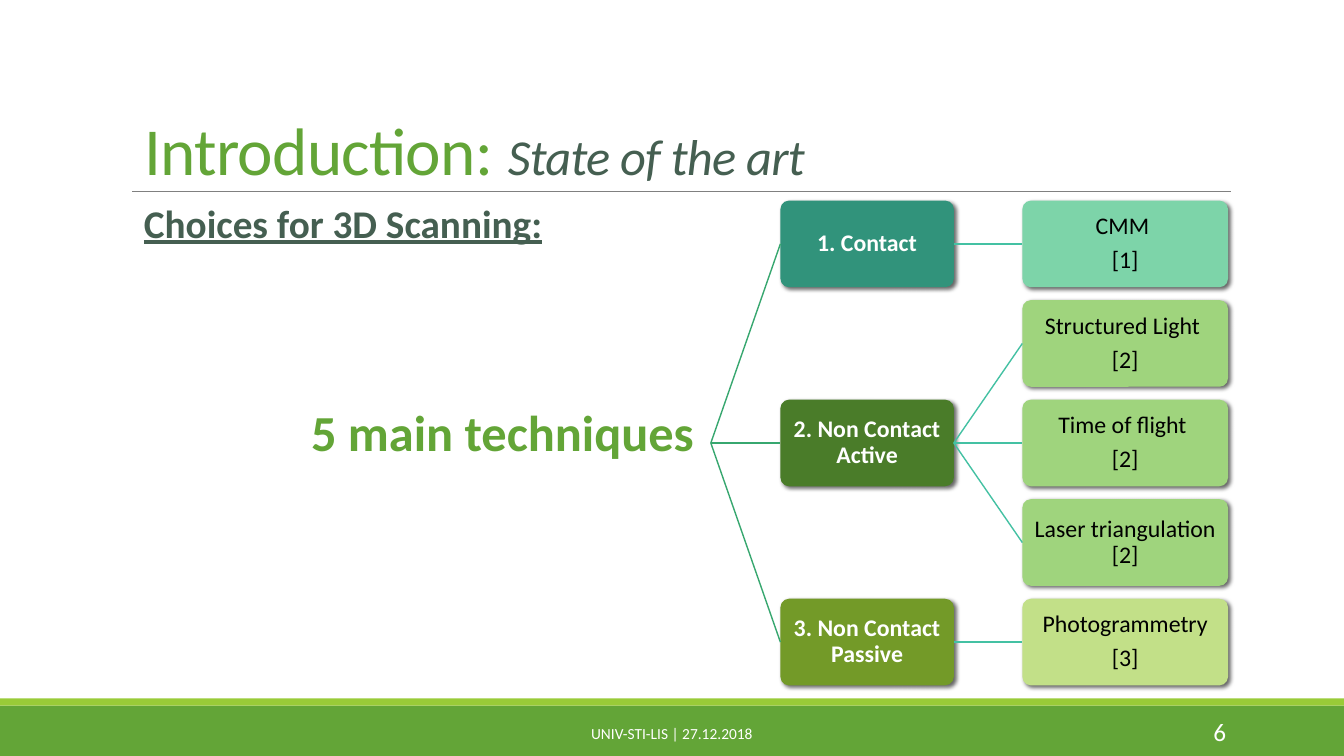
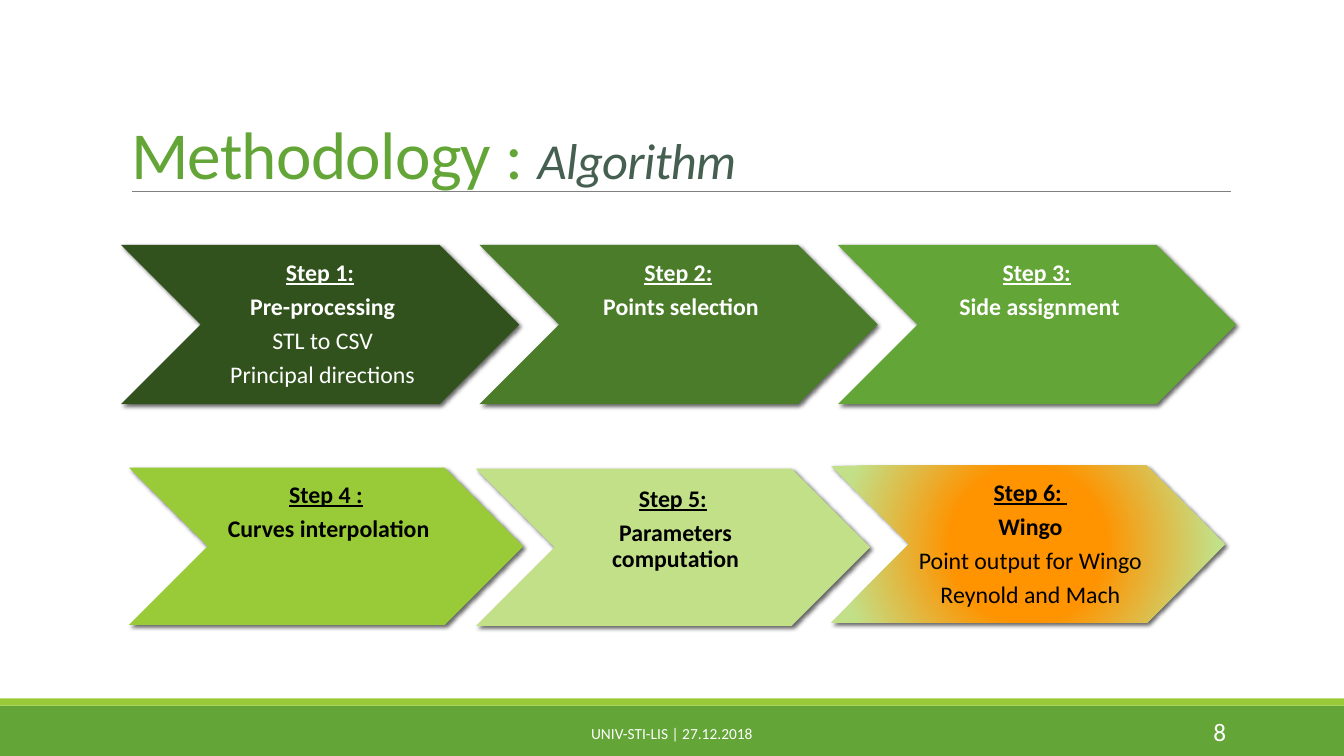
from lxml import etree
from pptx import Presentation
from pptx.dml.color import RGBColor
from pptx.enum.shapes import MSO_CONNECTOR as CONN, MSO_SHAPE as SHP
from pptx.enum.text import MSO_ANCHOR as ANC, MSO_AUTO_SIZE as FIT, PP_ALIGN as AL
from pptx.oxml import parse_xml
from pptx.oxml.ns import nsdecls, qn
from pptx.util import Inches, Pt

COLORS = {
    "green": "63A537", "lime": "99CB38", "slate": "455F51", "gray": "808080",
    "white": "FFFFFF", "black": "000000", "forest": "31521C", "leaf": "4A7C29",
    "pale": "C2E088", "orange": "FF9300", "teal": "31937B", "olive": "739A28",
    "mint": "7DD4A9", "soft": "9FD47D", "trunk": "37A76F", "twig": "44C1A3",
}
FONT = "Calibri"
WIDTH, HEIGHT = 13.33, 7.5
FOOTER = "UNIV-STI-LIS | 27.12.2018"


def rgb(name):
    """Return the named colour."""
    return RGBColor.from_string(COLORS[name])


def add_run(p, text, size, color, bold=False, italic=False, underline=False):
    """Append one formatted run to a paragraph."""
    r = p.add_run()
    r.text = text
    f = r.font
    f.name, f.size, f.color.rgb = FONT, Pt(size), rgb(color)
    f.bold, f.italic, f.underline = bold, italic, underline


def next_par(tf, first, align=AL.LEFT, spacing=1.0, before=0, after=0):
    """Return the first or a new paragraph with its spacing set."""
    p = tf.paragraphs[0] if first else tf.add_paragraph()
    p.alignment, p.line_spacing = align, spacing
    p.space_before, p.space_after = Pt(before), Pt(after)
    return p


def set_insets(tf, left, top, right, bottom):
    """Set the four margins of a text frame."""
    tf.margin_left, tf.margin_top = Inches(left), Inches(top)
    tf.margin_right, tf.margin_bottom = Inches(right), Inches(bottom)


def add_label(s, box, text, size, color, align=AL.LEFT, anchor=ANC.TOP,
              spacing=1.0, before=0, **style):
    """Add a wrapped one-paragraph text box."""
    tf = s.shapes.add_textbox(*map(Inches, box)).text_frame
    tf.word_wrap, tf.vertical_anchor = True, anchor
    add_run(next_par(tf, True, align, spacing, before), text, size, color, **style)


def add_filled(s, kind, box, color=None):
    """Add a preset shape without outline or shadow."""
    sp = s.shapes.add_shape(kind, *map(Inches, box))
    if color:
        sp.fill.solid()
        sp.fill.fore_color.rgb = rgb(color)
    sp.line.fill.background()
    sp.shadow.inherit = False
    return sp


def add_shadow(sp):
    """Give a shape a soft shadow to the lower right."""
    effects = sp.element.spPr.find(qn("a:effectLst"))
    effects.append(parse_xml(
        f'<a:outerShdw {nsdecls("a")} blurRad="{Pt(3)}" dist="{Pt(2)}" '
        f'dir="2700000" algn="tl" rotWithShape="0"><a:srgbClr val="{COLORS["black"]}">'
        '<a:alpha val="60000"/></a:srgbClr></a:outerShdw>'))


def set_glow_fill(sp, stops):
    """Fill a shape with a circular gradient from its centre."""
    marks = "".join(f'<a:gs pos="{pos * 1000}"><a:srgbClr val="{COLORS[c]}"/></a:gs>'
                    for pos, c in stops)
    sp.element.spPr.insert(2, parse_xml(
        f'<a:gradFill {nsdecls("a")}><a:gsLst>{marks}</a:gsLst><a:path path="circle">'
        '<a:fillToRect l="100000" t="100000" r="100000" b="100000"/>'
        '</a:path></a:gradFill>'))


def add_line(s, start, end, color, width):
    """Add a straight connector between two points."""
    cx = s.shapes.add_connector(CONN.STRAIGHT, *map(Inches, (*start, *end)))
    cx.line.color.rgb, cx.line.width = rgb(color), Pt(width)
    etree.SubElement(cx.element.spPr, qn("a:effectLst"))
    return cx


def add_frame(prs, number, title, subtitle, box):
    """Start a slide with its bands, rule, title, footer and number."""
    s = prs.slides.add_slide(prs.slide_layouts[5])
    add_filled(s, SHP.RECTANGLE, (0, 7, WIDTH, 0.5), "green")
    add_filled(s, SHP.RECTANGLE, (0, 6.93, WIDTH, 0.07), "lime")
    add_line(s, (1.31, 1.9), (12.21, 1.9), "gray", 0.5)
    sp = s.shapes.title
    sp.left, sp.top, sp.width, sp.height = map(Inches, box)
    tf = sp.text_frame
    tf.word_wrap, tf.auto_size, tf.vertical_anchor = True, FIT.NONE, ANC.BOTTOM
    p = next_par(tf, True, spacing=0.85)
    add_run(p, title, 48, "green")
    add_run(p, subtitle, 36, "slate", italic=True)
    for props in sp.element.iter(qn("a:rPr")):
        props.set("spc", "-50")
    add_label(s, (4.03, 7.08, 5.27, 0.4), FOOTER, 11, "white", AL.CENTER, ANC.MIDDLE)
    add_label(s, (10.83, 7.06, 1.43, 0.4), str(number), 18, "white",
              AL.RIGHT, ANC.MIDDLE)
    return s


def add_node(s, box, fill, lines, color, bold=False):
    """Add one rounded box of the tree."""
    sp = add_filled(s, SHP.ROUNDED_RECTANGLE, box, fill)
    sp.adjustments[0] = 0.1
    add_shadow(sp)
    tf = sp.text_frame
    tf.word_wrap, tf.vertical_anchor = True, ANC.MIDDLE
    set_insets(tf, 0.01, 0.01, 0.01, 0.01)
    for i, line in enumerate(lines):
        p = next_par(tf, i == 0, AL.CENTER, 0.9, after=6)
        add_run(p, line, 17, color, bold)
    return sp


def add_tree(s, box, branches):
    """Draw branches and their leaves, joined to a root at the left edge."""
    left, top, width, height = box
    node_h, branch_w, leaf_w, gap = 0.86, 1.72, 2.04, 0.69
    count = sum(len(leaves) for *_, leaves in branches)
    pitch = (height - node_h) / (count - 1)
    root = (left, top + height / 2)
    row = 0
    for name, fill, leaf_fill, leaves in branches:
        y = top + (row + (len(leaves) - 1) / 2) * pitch
        branch = add_node(s, (left + gap, y, branch_w, node_h), fill, [name],
                          "white", True)
        add_line(s, root, (left + gap, y), "trunk", 1).end_connect(branch, 1)
        for lines in leaves:
            y = top + row * pitch
            leaf = add_node(s, (left + width - leaf_w, y, leaf_w, node_h),
                            leaf_fill, lines, "black")
            cx = add_line(s, root, (left + width, y), "twig", 1)
            cx.begin_connect(branch, 3)
            cx.end_connect(leaf, 1)
            row += 1


def add_step(s, box, fill, color, heading, name, details=(), top=0.15):
    """Add one chevron with a heading, a name and details."""
    sp = add_filled(s, SHP.CHEVRON, box, None if isinstance(fill, list) else fill)
    if isinstance(fill, list):
        set_glow_fill(sp, fill)
    add_shadow(sp)
    tf = sp.text_frame
    tf.word_wrap, tf.vertical_anchor = True, ANC.TOP
    set_insets(tf, 0.07, top, 0.02, 0.02)
    p = next_par(tf, True, AL.CENTER, 0.9, after=6)
    add_run(p, heading, 17, color, True, underline=True)
    if not heading.endswith(" "):
        add_run(p, " ", 17, color, True)
    for i, line in enumerate((name, *details)):
        p = next_par(tf, False, AL.CENTER, 0.9, after=6)
        add_run(p, line, 17, color, bold=i == 0)


def build_introduction(prs):
    """Build the slide on scanning techniques."""
    s = add_frame(prs, 6, "Introduction: ", "State of the art ",
                  (1.33, 0.48, 10.87, 1.45))
    add_tree(s, (7.05, 1.99, 5.13, 4.81), [
        ("1. Contact", "teal", "mint", [("CMM ", "[1]")]),
        ("2. Non Contact Active", "leaf", "soft",
         [("Structured Light ", "[2]"), ("Time of flight ", "[2]"),
          ("Laser triangulation [2]",)]),
        ("3. Non Contact Passive", "olive", "pale", [("Photogrammetry", "[3]")]),
    ])
    add_label(s, (2.42, 4, 5.13, 0.78), "5 main techniques", 36, "green", AL.CENTER,
              spacing=0.9, before=10, bold=True)
    add_label(s, (1.33, 1.98, 9.33, 0.53), "Choices for 3D Scanning:", 28, "slate",
              spacing=0.9, before=10, bold=True, underline=True)


def build_methodology(prs):
    """Build the slide with the six steps."""
    s = add_frame(prs, 8, "Methodology : ", "Algorithm", (1.2, -0.17, 11.06, 2.14))
    upper = [
        ("forest", "Step 1:", "Pre-processing", ("STL to CSV", "Principal directions")),
        ("leaf", "Step 2:", "Points selection", ()),
        ("green", "Step 3:", "Side assignment", ()),
    ]
    for i, (fill, *texts) in enumerate(upper):
        add_step(s, (1.2 + i * 3.555, 2.43, 3.95, 1.58), fill, "white", *texts, 0.16)
    glow = [(36, "orange"), (89, "pale"), (94, "pale"), (100, "pale")]
    lower = [
        (1.28, 4.64, "lime", "Step 4 :", "Curves interpolation"),
        (4.72, 4.65, "pale", "Step 5:", "Parameters computation", (), 0.18),
        (8.24, 4.62, glow, "Step 6: ", "Wingo",
         ("Point output for Wingo", "Reynold and Mach")),
    ]
    for x, y, fill, *texts in lower:
        add_step(s, (x, y, 3.91, 1.56), fill, "black", *texts)


prs = Presentation()
prs.slide_width, prs.slide_height = Inches(WIDTH), Inches(HEIGHT)
build_introduction(prs)
build_methodology(prs)
prs.save("out.pptx")
